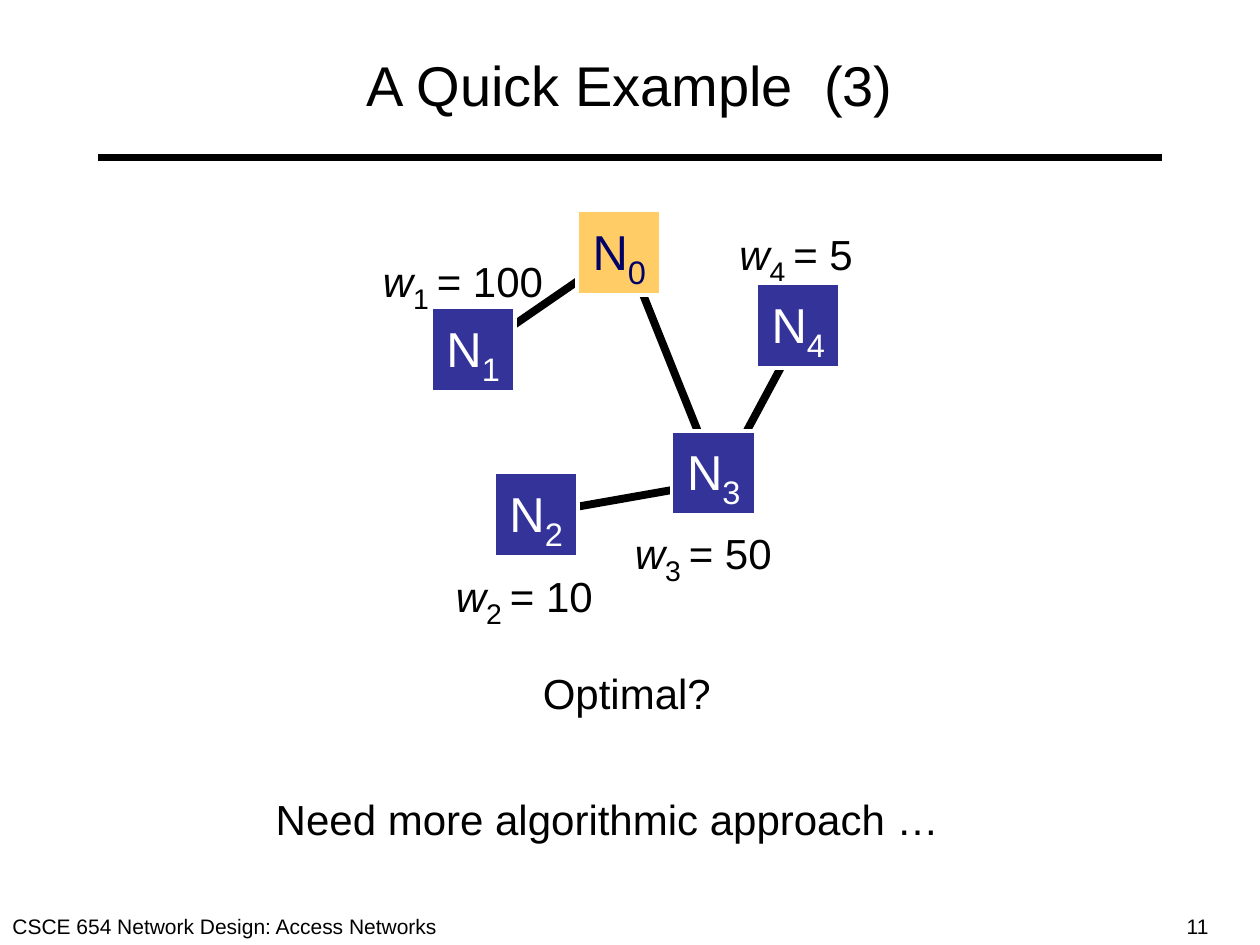
import pptx
import pptx.util
import pptx.dml.color
import pptx.enum.shapes
import pptx.enum.text
import pptx.oxml.ns
import lxml.etree
from pptx.util import Inches

COLORS = {
    "ink": "000000",
    "paper": "FFFFFF",
    "root": "FFCC66",
    "root text": "000066",
    "node": "333399",
}
ALIGN = pptx.enum.text.PP_ALIGN
ANCHOR = pptx.enum.text.MSO_ANCHOR
AUTO_SIZE = pptx.enum.text.MSO_AUTO_SIZE

LABEL_FRAME = {"word_wrap": False, "auto_size": AUTO_SIZE.SHAPE_TO_FIT_TEXT}
NODE_FRAME = {"word_wrap": False, "vertical_anchor": ANCHOR.MIDDLE}
TITLE_FRAME = {"word_wrap": True, "vertical_anchor": ANCHOR.MIDDLE,
               "auto_size": AUTO_SIZE.NONE}

NODE_SIZE = 0.67
# index: (left, top) inside the network box
NODES = {0: (1.66, 0), 1: (0.5, 0.77), 2: (1, 2.08), 4: (3.08, 0.58), 3: (2.41, 1.75)}
# index: (left, top, width, weight)
WEIGHTS = {
    1: (0.02, 0.25, 1.51, 100),
    2: (0.6, 2.75, 1.32, 10),
    3: (2.02, 2.41, 1.32, 50),
    4: (2.85, 0.04, 1.14, 5),
}
# (x, y) ends inside the network box
LINKS = [
    ((2.75, 2.16), (1.33, 2.41)),
    ((3.41, 1), (2.83, 2.08)),
    ((2, 0.33), (0.91, 1.08)),
    ((2.08, 0.41), (2.75, 2.08)),
]


def rgb(name):
    return pptx.dml.color.RGBColor.from_string(COLORS[name])


def write(shape, runs, frame_format, color="ink", align=ALIGN.LEFT):
    """Fill a shape with runs of (text, size, extra), extra being "", "italic" or "sub"."""
    frame = shape.text_frame
    for attribute, value in frame_format.items():
        setattr(frame, attribute, value)
    paragraph = frame.paragraphs[0]
    paragraph.alignment = align
    for text, size, extra in runs:
        run = paragraph.add_run()
        run.text = text
        font_format = {"name": "Arial", "size": pptx.util.Pt(size),
                       "italic": extra == "italic"}
        for attribute, value in font_format.items():
            setattr(run.font, attribute, value)
        run.font.color.rgb = rgb(color)
        if extra == "sub":
            run._r.get_or_add_rPr().set("baseline", "-25000")


def add_label(slide, left, top, width, height, runs, align=ALIGN.LEFT):
    box = slide.shapes.add_textbox(
        Inches(left), Inches(top), Inches(width), Inches(height))
    write(box, runs, LABEL_FRAME, align=align)


def add_line(slide, start, end):
    line = slide.shapes.add_connector(
        pptx.enum.shapes.MSO_CONNECTOR.STRAIGHT,
        *(Inches(length) for length in (*start, *end)))
    line.line.color.rgb = rgb("ink")
    line.line.width = pptx.util.Pt(4.5)
    lxml.etree.SubElement(line._element.spPr, pptx.oxml.ns.qn("a:effectLst"))


def add_node(slide, left, top, index):
    node = slide.shapes.add_shape(
        pptx.enum.shapes.MSO_SHAPE.RECTANGLE, Inches(left), Inches(top),
        Inches(NODE_SIZE), Inches(NODE_SIZE))
    node.shadow.inherit = False
    node.fill.solid()
    node.fill.fore_color.rgb = rgb("node" if index else "root")
    node.line.color.rgb = rgb("paper")
    node.line.width = pptx.util.Pt(2.25)
    write(node, [("N", 28, ""), (str(index), 32, "sub")], NODE_FRAME,
          "paper" if index else "root text", ALIGN.CENTER)


def add_header(slide, left, top, width, height):
    title = slide.shapes.title
    place = {"left": left, "top": top, "width": width, "height": height}
    for attribute, value in place.items():
        setattr(title, attribute, Inches(value))
    write(title, [("A Quick Example  (3)", 32, "")], TITLE_FRAME, align=ALIGN.CENTER)
    rule_top = top + height + 0.08
    add_line(slide, (left + 0.28, rule_top), (left + width - 0.28, rule_top))


def add_network(slide, left, top):
    """Draw links first so that the nodes cover their ends."""
    for link in LINKS:
        add_line(slide, *((left + x, top + y) for x, y in link))
    for index, (x, y, width, weight) in WEIGHTS.items():
        add_label(slide, left + x, top + y, width, 0.63,
                  [("w", 24, "italic"), (f"{index} ", 28, "sub"), (f"= {weight}", 24, "")])
    for index, (x, y) in NODES.items():
        add_node(slide, left + x, top + y, index)


def add_remarks(slide, left, top):
    add_label(slide, left + 2.09, top, 1.59, 0.5, [("Optimal?", 24, "")], ALIGN.CENTER)
    add_label(slide, left, top + 1, 5.5, 0.5,
              [("Need more algorithmic approach …", 24, "")])


def add_footer(slide, left, top):
    add_label(slide, left, top, 3.62, 0.3,
              [("CSCE 654 Network Design: Access Networks", 12, "")])
    add_label(slide, left + 9.32, top, 0.96, 0.3, [("11", 12, "")])


def main():
    deck = pptx.Presentation()
    deck.slide_width, deck.slide_height = Inches(10), Inches(7.5)
    slide = deck.slides.add_slide(deck.slide_layouts.get_by_name("Title Only"))
    add_header(slide, 0.5, 0.17, 9, 1)
    add_network(slide, 2.92, 1.67)
    add_remarks(slide, 2.09, 5.25)
    add_footer(slide, 0, 7.2)
    deck.save("out.pptx")


if __name__ == "__main__":
    main()
